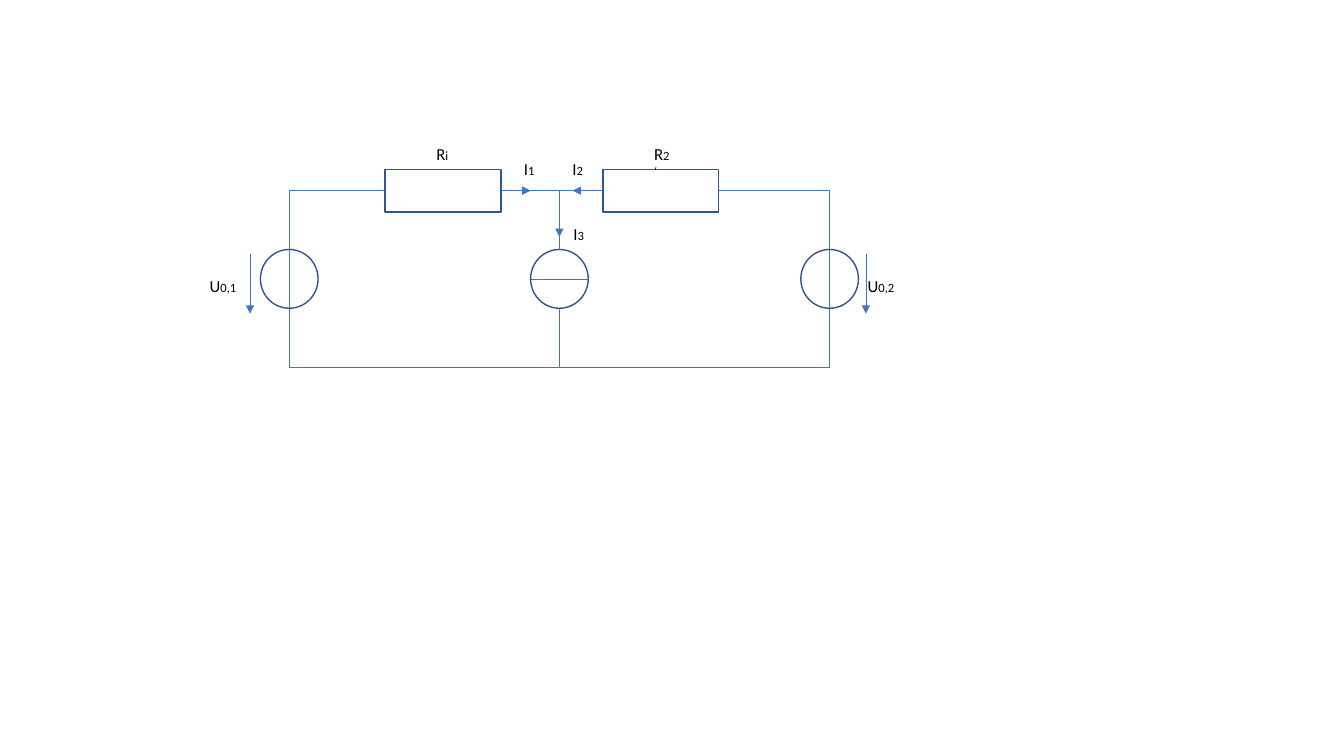
from dataclasses import dataclass

from lxml.etree import SubElement
from pptx import Presentation
from pptx.dml.color import RGBColor as Color
from pptx.enum.shapes import MSO_CONNECTOR as Link, MSO_SHAPE as Kind
from pptx.enum.text import MSO_AUTO_SIZE as Fit
from pptx.oxml.ns import qn
from pptx.util import Pt


@dataclass(frozen=True)
class Theme:
    """Colours, font and sizes of the slide."""
    wire: Color = Color(0x44, 0x72, 0xC4)
    edge: Color = Color(0x32, 0x54, 0x91)
    ink: Color = Color(0, 0, 0)
    font: str = "Calibri"
    main: float = 12
    sub: float = 9
    thin: float = 0.5
    bold: float = 1


THEME = Theme()


def add_wire(slide, start, end, arrow=False):
    """Draw a straight wire, with an arrowhead at its end if asked."""
    line = slide.shapes.add_connector(
        Link.STRAIGHT, *[Pt(v) for v in (*start, *end)])
    line.line.color.rgb = THEME.wire
    line.line.width = Pt(THEME.thin)
    if arrow:
        SubElement(line.line._get_or_add_ln(), qn("a:tailEnd"), type="triangle")
    SubElement(line._element.spPr, qn("a:effectLst"))


def add_part(slide, kind, mid, size):
    """Draw an unfilled circuit symbol centred on a point."""
    (x, y), (w, h) = mid, size
    part = slide.shapes.add_shape(
        kind, Pt(x - w / 2), Pt(y - h / 2), Pt(w), Pt(h))
    part.shadow.inherit = False
    part.fill.background()
    part.line.color.rgb = THEME.edge
    part.line.width = Pt(THEME.bold)


def add_text(slide, text, sub="", *, left, top, width, height=21.8):
    """Write a symbol name followed by its smaller index."""
    box = slide.shapes.add_textbox(Pt(left), Pt(top), Pt(width), Pt(height))
    frame = box.text_frame
    frame.word_wrap = False
    frame.auto_size = Fit.SHAPE_TO_FIT_TEXT
    for word, size in ((text, THEME.main), (sub, THEME.sub)):
        run = frame.paragraphs[0].add_run()
        run.text = word
        run.font.size = Pt(size)
        run.font.name = THEME.font
        run.font.color.rgb = THEME.ink


def draw_wires(slide, box):
    """Draw the outer loop, the middle branch and its source bar."""
    x, y, w, h = box
    mid, right, low = x + w / 2, x + w, y + h
    gap_a, gap_b = x + 68.4, x + 151.2
    gap_c, gap_d = x + 224, x + 306.8
    wires = [
        ((gap_b, y), (gap_c, y)), ((gap_a, y), (x, y)),
        ((x, y), (x, low)), ((x, low), (right, low)),
        ((right, low), (right, y)), ((gap_d, y), (right, y)),
        ((mid, y + h / 2 - 21), (mid, y)),
        ((mid, y + h / 2 + 21), (mid, low)),
        ((mid - 20.6, y + h / 2), (mid + 20.6, y + h / 2)),
    ]
    for start, end in wires:
        add_wire(slide, start, end)


def draw_parts(slide, box):
    """Draw two resistors on the top wire and three sources below it."""
    x, y, w, h = box
    for left in (68.4, 224):
        add_part(slide, Kind.RECTANGLE, (x + left + 41.4, y), (82.8, 30.4))
    for step in range(3):
        add_part(slide, Kind.OVAL, (x + step * w / 2, y + h / 2), (41.2, 42))


def draw_arrows(slide, box):
    """Draw the voltage and current arrows."""
    x, y, w, h = box
    mid = x + w / 2
    for side in (x - 28, x + w + 25.9):
        add_wire(slide, (side, y + 45.4), (side, y + 87.8), arrow=True)
    add_wire(slide, (mid, y + 9.4), (mid, y + 33), arrow=True)
    add_wire(slide, (x + 151.2, y), (x + 172.4, y), arrow=True)
    add_wire(slide, (x + 224, y), (x + 202.4, y), arrow=True)


def draw_names(slide, box):
    """Name the voltages, resistors and currents."""
    x, y, _, _ = box
    names = [
        ("U", "0,1", -64, 56.9, 33.8), ("U", "0,2", 406.1, 56.9, 33.8),
        ("R", "i", 98, -36.9, 23.8), ("R", "2‘", 253.5, -36.9, 27.4),
        ("I", "1", 160.6, -26.6, 22.3), ("I", "2", 195.2, -26.6, 22.3),
        ("I", "3", 195.9, 20.1, 22.3),
    ]
    for text, sub, left, top, width in names:
        add_text(slide, text, sub, left=x + left, top=y + top, width=width)


def draw_circuit(slide, box):
    """Draw the whole circuit, with its wire loop on the given box."""
    for draw in (draw_wires, draw_parts, draw_arrows, draw_names):
        draw(slide, box)


def main():
    """Build and save the slide."""
    deck = Presentation()
    deck.slide_width, deck.slide_height = Pt(960), Pt(540)
    slide = deck.slides.add_slide(deck.slide_layouts[6])
    draw_circuit(slide, (206.6, 136.2, 386, 126))
    deck.save("out.pptx")


main()
